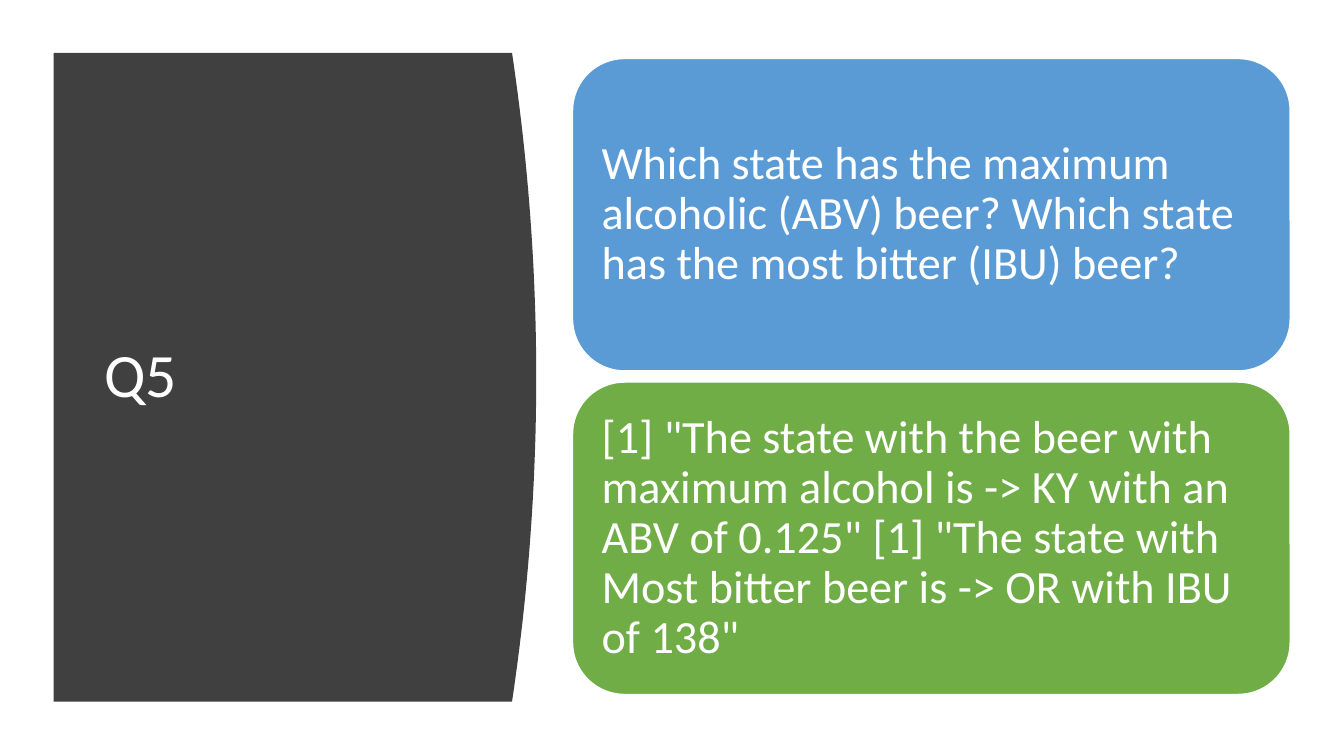
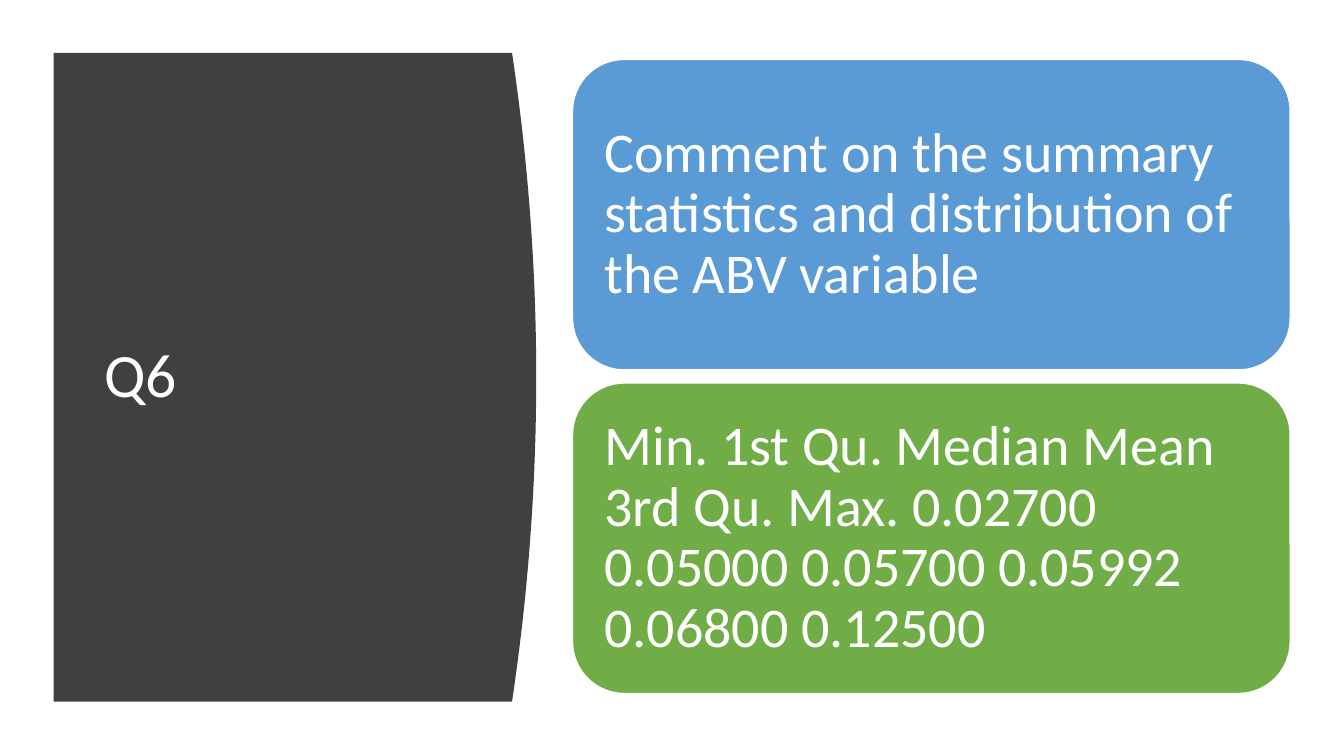
from pptx import Presentation
from pptx.dml.color import RGBColor
from pptx.enum.shapes import MSO_SHAPE
from pptx.enum.text import MSO_ANCHOR, MSO_AUTO_SIZE, PP_ALIGN
from pptx.util import Inches, Pt

WHITE = RGBColor(0xFF, 0xFF, 0xFF)
CHARCOAL = RGBColor(0x40, 0x40, 0x40)
BLUE = RGBColor(0x5B, 0x9B, 0xD5)
GREEN = RGBColor(0x70, 0xAD, 0x47)

ROUNDED = MSO_SHAPE.ROUNDED_RECTANGLE
MIDDLE = MSO_ANCHOR.MIDDLE
NO_FIT = MSO_AUTO_SIZE.NONE
LEFT = PP_ALIGN.LEFT

TITLE_ONLY = 5
CURVE_STEPS = 48

QUESTIONS = [
    ("Q5", 33, 0.4133, [
        "Which state has the maximum alcoholic (ABV) beer? "
        "Which state has the most bitter (IBU) beer?",
        '[1] "The state with the beer with maximum alcohol is -> KY with an '
        'ABV of 0.125" [1] "The state with Most bitter beer is -> OR with '
        'IBU of 138"',
    ]),
    ("Q6", 40, 0.4107, [
        "Comment on the summary statistics and distribution of the ABV variable",
        "Min. 1st Qu. Median Mean 3rd Qu. Max. 0.02700 0.05000 0.05700 "
        "0.05992 0.06800 0.12500",
    ]),
]


def apply(target, values):
    for name, value in values.items():
        setattr(target, name, value)


class Deck:
    FRAME = {"word_wrap": True, "auto_size": NO_FIT, "vertical_anchor": MIDDLE}
    PARAGRAPH = {"alignment": LEFT, "line_spacing": 0.9}
    FONT = {"name": "Calibri", "bold": False}
    MARGINS = ("margin_left", "margin_top", "margin_right", "margin_bottom")

    def __init__(self):
        self.prs = Presentation()
        apply(self.prs, {"slide_width": Inches(13.33), "slide_height": Inches(7.5)})
        self.s = None

    def x(self, share):
        return round(self.prs.slide_width * share)

    def y(self, share):
        return round(self.prs.slide_height * share)

    def new_slide(self):
        self.s = self.prs.slides.add_slide(self.prs.slide_layouts[TITLE_ONLY])

    def set_text(self, sp, text, size):
        tf = sp.text_frame
        apply(tf, self.FRAME)
        p = tf.paragraphs[0]
        apply(p, self.PARAGRAPH)
        r = p.add_run()
        r.text = text
        apply(r.font, {**self.FONT, "size": Pt(size)})
        r.font.color.rgb = WHITE

    def paint(self, sp, color):
        sp.shadow.inherit = False
        sp.fill.solid()
        sp.fill.fore_color.rgb = color

    def panel(self, left=0.04, right=0.381, top=0.07, bottom=0.928, bulge=0.018):
        steps = [2 * i / CURVE_STEPS - 1 for i in range(CURVE_STEPS + 1)]
        centre, half = (top + bottom) / 2, (bottom - top) / 2
        curve = [(self.x(right + bulge * (1 - t * t)), self.y(centre + half * t))
                 for t in steps]
        outline = self.s.shapes.build_freeform(self.x(left), self.y(top))
        outline.add_line_segments(curve + [(self.x(left), self.y(bottom))])
        sp = outline.convert_to_shape()
        self.paint(sp, CHARCOAL)
        sp.line.fill.background()

    def title(self, text):
        sp = self.s.shapes.title
        apply(sp, {"left": self.x(0.07), "top": self.y(0.15),
                   "width": self.x(0.28), "height": self.y(0.7)})
        self.set_text(sp, text, 44)
        self.s.shapes.element.append(sp.element)

    def card(self, row, text, size, height, color):
        centre = 0.284 + 0.428 * row
        sp = self.s.shapes.add_shape(
            ROUNDED, self.x(0.426), self.y(centre - height / 2),
            self.x(0.534), self.y(height))
        self.paint(sp, color)
        sp.line.color.rgb = WHITE
        sp.line.width = Pt(1)
        self.set_text(sp, text, size)
        apply(sp.text_frame, dict.fromkeys(self.MARGINS, Pt(0.3 * size)))


def main():
    deck = Deck()
    for name, size, height, texts in QUESTIONS:
        deck.new_slide()
        deck.panel()
        deck.title(name)
        for row, (text, color) in enumerate(zip(texts, (BLUE, GREEN))):
            deck.card(row, text, size, height, color)
    deck.prs.save("out.pptx")


if __name__ == "__main__":
    main()
